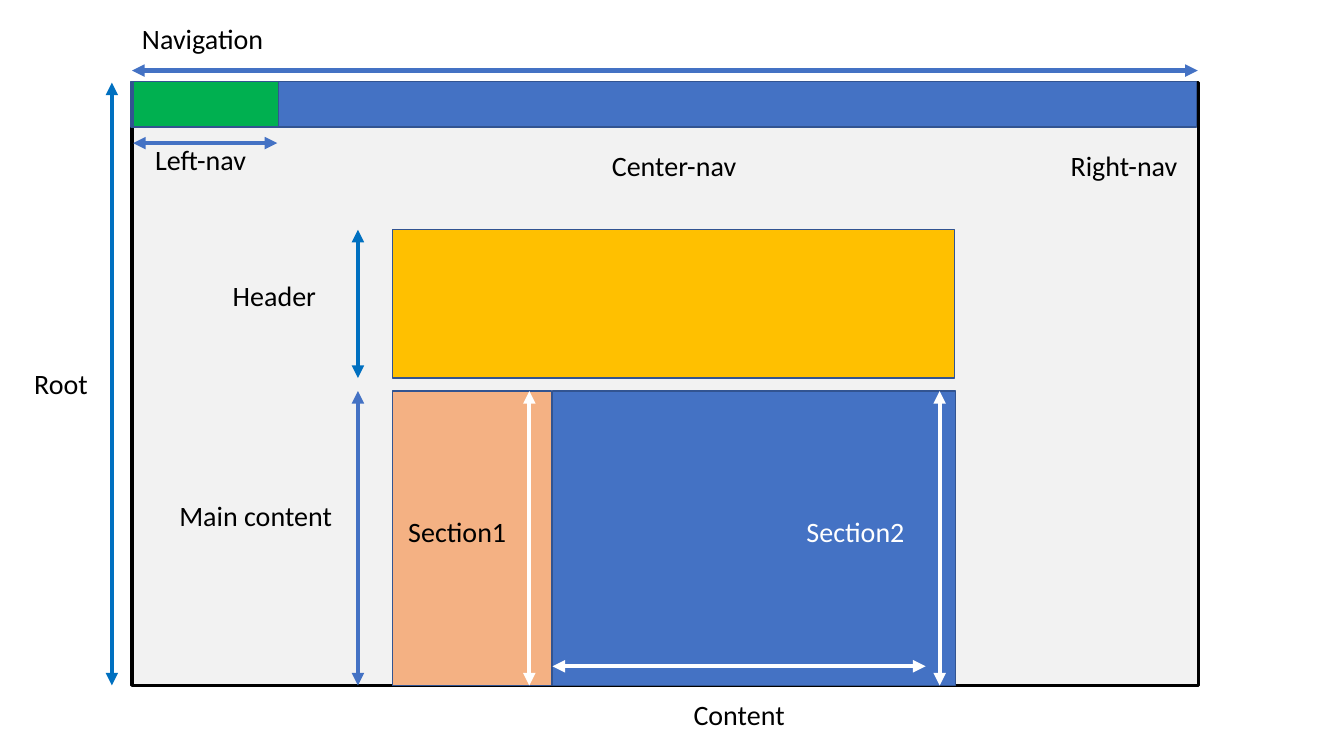
from lxml import etree
from pptx import Presentation
from pptx.dml.color import RGBColor
from pptx.enum.shapes import MSO_CONNECTOR as CONN, MSO_SHAPE as SHAPE
from pptx.oxml.ns import qn
from pptx.util import Inches, Pt

BLACK = RGBColor(0x00, 0x00, 0x00)
WHITE = RGBColor(0xFF, 0xFF, 0xFF)
GREY = RGBColor(0xF2, 0xF2, 0xF2)
BLUE = RGBColor(0x44, 0x72, 0xC4)
NAVY = RGBColor(0x32, 0x54, 0x91)
AZURE = RGBColor(0x00, 0x70, 0xC0)
GREEN = RGBColor(0x00, 0xB0, 0x50)
GOLD = RGBColor(0xFF, 0xC0, 0x00)
PEACH = RGBColor(0xF4, 0xB1, 0x83)

prs = Presentation()
prs.slide_width = Inches(13.33)
prs.slide_height = Inches(7.5)
s = prs.slides.add_slide(prs.slide_layouts[6])

root_top, header_top, main_top, bottom = 0.82, 2.28, 3.88, 6.8
header_bottom = 3.75
root_left, column_left, section2_left = 1.31, 3.89, 5.48

blocks = [
    (root_left, root_top, 10.58, 5.98, GREY, BLACK, 2.25),
    (1.3, 0.81, 10.57, 0.45, BLUE, NAVY, 1),
    (1.32, 0.81, 1.44, 0.45, GREEN, NAVY, 1),
    (column_left, header_top, 5.58, 1.47, GOLD, NAVY, 1),
    (column_left, main_top, 1.58, 2.92, PEACH, NAVY, 1),
    (section2_left, main_top, 4, 2.92, BLUE, NAVY, 1),
]
for left, top, width, height, fill, line, weight in blocks:
    sp = s.shapes.add_shape(SHAPE.RECTANGLE, Inches(left), Inches(top),
                            Inches(width), Inches(height))
    sp.shadow.inherit = False
    sp.fill.solid()
    sp.fill.fore_color.rgb = fill
    sp.line.color.rgb = line
    sp.line.width = Pt(weight)

arrows = [
    (root_left, 0.7, 11.88, 0.7, BLUE),
    (1.32, 1.42, 2.75, 1.42, BLUE),
    (1.11, root_top, 1.11, bottom, AZURE),
    (3.55, header_top, 3.55, header_bottom, AZURE),
    (3.55, main_top, 3.55, bottom, BLUE),
    (5.25, main_top, 5.25, bottom, WHITE),
    (9.32, main_top, 9.32, bottom, WHITE),
    (section2_left, 6.61, 9.18, 6.61, WHITE),
]
for x1, y1, x2, y2, color in arrows:
    cx = s.shapes.add_connector(CONN.STRAIGHT, Inches(x1), Inches(y1),
                                Inches(x2), Inches(y2))
    cx.line.color.rgb = color
    cx.line.width = Pt(3)
    ln = cx.line._get_or_add_ln()
    for end in ("a:headEnd", "a:tailEnd"):
        etree.SubElement(ln, qn(end), type="triangle")
    etree.SubElement(cx._element.spPr, qn("a:effectLst"))

labels = [
    ("Navigation", 1.31, 0.16, 1.42, False, BLACK),
    ("Left-nav", 1.44, 1.36, 2.62, True, BLACK),
    ("Center-nav", 5.97, 1.42, 2.46, True, BLACK),
    ("Right-nav", 10.52, 1.42, 2.24, True, BLACK),
    ("Root", 0.24, 3.59, 0.74, False, BLACK),
    ("Header", 2.21, 2.71, 1.04, False, BLACK),
    ("Main content", 1.68, 4.9, 1.73, False, BLACK),
    ("Section1", 3.95, 5.06, 1.19, False, BLACK),
    ("Section2", 7.9, 5.06, 1.19, False, WHITE),
    ("Content", 6.78, 6.87, 1.11, False, BLACK),
]
for text, left, top, width, wrap, color in labels:
    tf = s.shapes.add_textbox(Inches(left), Inches(top),
                              Inches(width), Inches(0.44)).text_frame
    tf.word_wrap = wrap
    r = tf.paragraphs[0].add_run()
    r.text = text
    r.font.name = "Calibri"
    r.font.size = Pt(20)
    r.font.color.rgb = color

prs.save("out.pptx")
